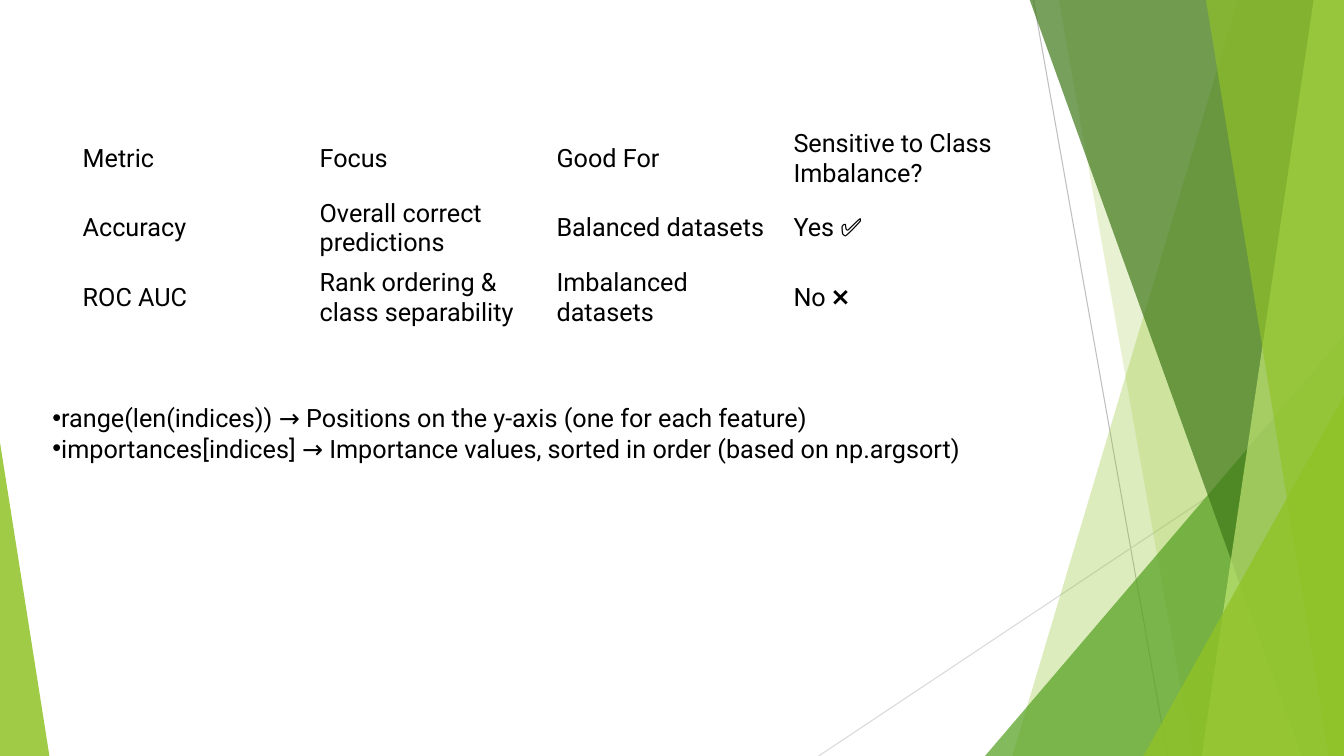
from dataclasses import dataclass

from lxml import etree
from pptx import Presentation
from pptx import util as u
from pptx.dml.color import RGBColor
from pptx.enum import shapes, text
from pptx.oxml.ns import qn

FONT = "Roboto"
BLACK = "000000"
GREEN = "90C226"
WIDTH, HEIGHT, TOP = 13.33, 7.5, -0.01


@dataclass
class Ray:
    start: tuple[float, float]
    end: tuple[float, float]
    color: str


@dataclass
class Blade:
    top_left: float
    bottom_left: float
    color: str
    opacity: int


@dataclass
class Wedge:
    left: float
    top: float
    width: float
    apex: float
    color: str
    opacity: int


RAYS = [
    Ray((10.25, 0), (11.58, HEIGHT), "BFBFBF"),
    Ray((WIDTH, 4.03), (8.12, HEIGHT), "D9D9D9"),
]

FACETS = [
    Blade(12.28, 10.04, GREEN, 30),
    Blade(10.5, 11.83, GREEN, 20),
    Wedge(9.77, 3.33, 3.56, 1, "54A021", 72),
    Blade(10.21, 12.91, "3F7819", 70),
    Blade(13.03, 11.92, "C0E474", 70),
    Blade(11.96, 13.18, GREEN, 65),
    Wedge(11.34, 3.93, 1.99, 1, GREEN, 80),
    Wedge(0, 4.39, 0.49, 0, GREEN, 85),
]

METRICS = [
    ["Metric", "Focus", "Good For", "Sensitive to Class Imbalance?"],
    ["Accuracy", "Overall correct predictions", "Balanced datasets", "Yes ✅"],
    ["ROC AUC", "Rank ordering & class separability", "Imbalanced datasets", "No ❌"],
]

PLOT_NOTES = [
    "range(len(indices)) → Positions on the y-axis (one for each feature)",
    "importances[indices] → Importance values, sorted in order (based on np.argsort)",
]


def rgb(color: str) -> RGBColor:
    return RGBColor.from_string(color)


def write(paragraph, words: str, size=18, font=FONT, color=BLACK, bullet="") -> None:
    run = paragraph.add_run()
    run.text = words
    run.font.size = u.Pt(size)
    run.font.name = font
    run.font.bold = False
    run.font.color.rgb = rgb(color)
    paragraph.alignment = text.PP_ALIGN.LEFT
    paragraph.space_before = paragraph.space_after = u.Pt(0)
    if bullet:
        properties = paragraph._p.get_or_add_pPr()
        properties.set("marL", "0")
        properties.set("indent", "0")
        etree.SubElement(properties, qn("a:buChar")).set("char", bullet)


def draw_ray(slide, ray: Ray) -> None:
    ends = [u.Inches(length) for length in (*ray.start, *ray.end)]
    connector = slide.shapes.add_connector(shapes.MSO_CONNECTOR.STRAIGHT, *ends)
    connector.line.color.rgb = rgb(ray.color)
    connector.line.width = u.Pt(0.75)
    etree.SubElement(connector.element.spPr, qn("a:effectLst"))


def draw_facet(slide, facet: Blade | Wedge) -> None:
    if isinstance(facet, Blade):
        corners = [
            (u.Inches(x), u.Inches(y))
            for x, y in [
                (facet.top_left, TOP),
                (WIDTH, TOP),
                (WIDTH, HEIGHT),
                (facet.bottom_left, HEIGHT),
            ]
        ]
        outline = slide.shapes.build_freeform(*corners[0])
        outline.add_line_segments(corners[1:], close=True)
        panel = outline.convert_to_shape()
    else:
        panel = slide.shapes.add_shape(
            shapes.MSO_SHAPE.ISOSCELES_TRIANGLE,
            u.Inches(facet.left),
            u.Inches(facet.top),
            u.Inches(facet.width),
            u.Inches(HEIGHT - facet.top),
        )
        panel.adjustments[0] = facet.apex
    panel.shadow.inherit = False
    panel.line.fill.background()
    panel.fill.solid()
    panel.fill.fore_color.rgb = rgb(facet.color)
    tint = panel.element.spPr.find(qn("a:solidFill")).find(qn("a:srgbClr"))
    etree.SubElement(tint, qn("a:alpha")).set("val", str(facet.opacity * 1000))


def draw_metrics(slide) -> None:
    metrics = slide.shapes.add_table(
        len(METRICS), len(METRICS[0]),
        u.Inches(0.72), u.Inches(1.23), u.Inches(9.4), u.Inches(2.07),
    ).table
    metrics.first_row = metrics.horz_banding = False
    for row, entries in enumerate(METRICS):
        for column, entry in enumerate(entries):
            cell = metrics.cell(row, column)
            cell.fill.background()
            cell.vertical_anchor = text.MSO_ANCHOR.MIDDLE
            write(cell.text_frame.paragraphs[0], entry)


def fill_plot_notes(body) -> None:
    body.left, body.top = u.Inches(0.42), u.Inches(3.94)
    body.width, body.height = u.Inches(9.48), u.Inches(0.71)
    frame = body.text_frame
    frame.word_wrap = True
    frame.auto_size = text.MSO_AUTO_SIZE.NONE
    frame.vertical_anchor = text.MSO_ANCHOR.MIDDLE
    for index, note in enumerate(PLOT_NOTES):
        paragraph = frame.add_paragraph() if index else frame.paragraphs[0]
        write(paragraph, note, bullet="•")


def main() -> None:
    deck = Presentation()
    deck.slide_width, deck.slide_height = u.Inches(WIDTH), u.Inches(HEIGHT)
    slide = deck.slides.add_slide(deck.slide_layouts[1])
    heading = slide.shapes.title.element
    heading.getparent().remove(heading)
    for ray in RAYS:
        draw_ray(slide, ray)
    for facet in FACETS:
        draw_facet(slide, facet)
    draw_metrics(slide)
    fill_plot_notes(slide.placeholders[1])
    deck.save("out.pptx")


if __name__ == "__main__":
    main()
